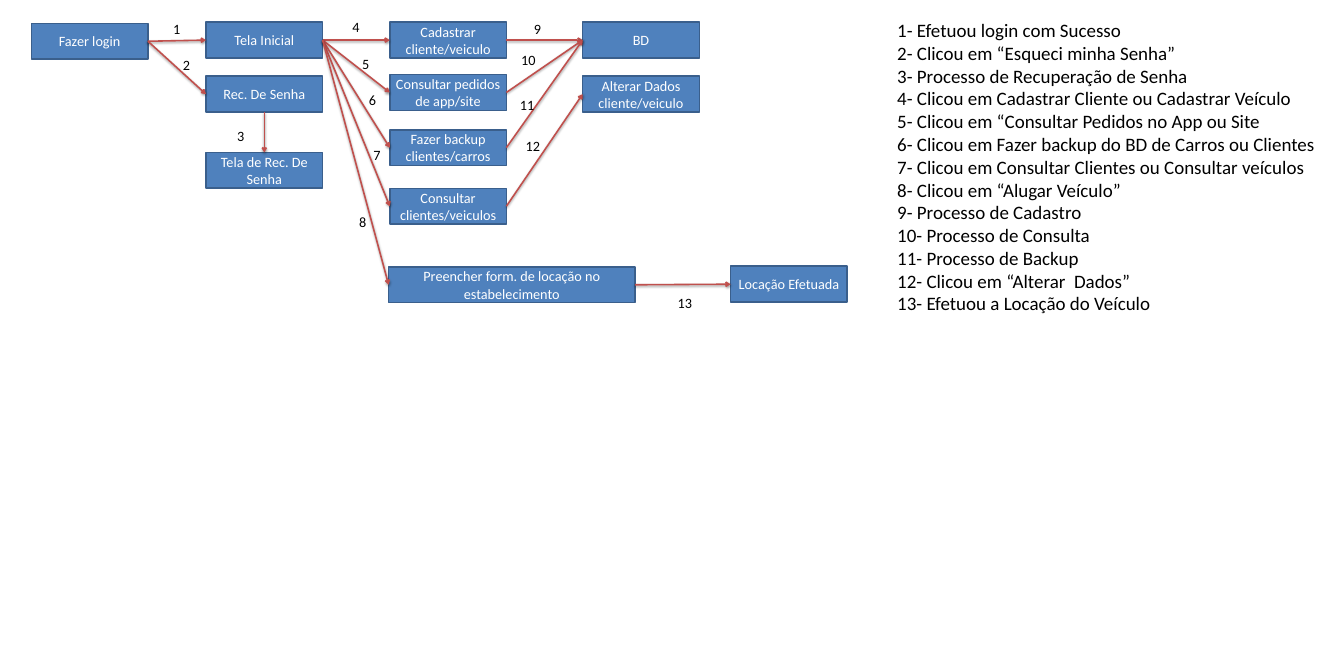
from lxml.etree import SubElement
from pptx import Presentation
from pptx.dml.color import RGBColor
from pptx.enum.shapes import MSO_CONNECTOR as CONNECTOR, MSO_SHAPE as SHAPE
from pptx.enum.text import MSO_ANCHOR as ANCHOR, MSO_AUTO_SIZE as AUTO_SIZE, PP_ALIGN as ALIGN
from pptx.oxml.ns import qn
from pptx.util import Emu, Inches, Pt

SLIDE_W, SLIDE_H = 23.62, 11.81
FILL, BORDER, ARROW = "4F81BD", "3A5F8C", "C0504D"
WHITE, BLACK = "FFFFFF", "000000"
STEP_W, STEP_H, LABEL_H = 2.05, 0.63, 0.4
TOP, LEFT, BOTTOM, RIGHT = range(4)  # connection sites of a rectangle

# Left edges of the columns and top edges of the rows, inside the diagram
LOGIN, HOME, TASKS, DATA, RENTAL = 0, 3.07, 6.3, 9.69, 12.29
ROW_1, ROW_2, ROW_3, ROW_4, ROW_5 = 0, 0.95, 1.89, 2.92, 4.3

# Key: text, left, top, width
STEPS = {
    "login": ("Fazer login", LOGIN, ROW_1 + 0.02, STEP_W),
    "home": ("Tela Inicial", HOME, ROW_1, STEP_W),
    "recover": ("Rec. De Senha", HOME, ROW_2, STEP_W),
    "recovery_screen": ("Tela de Rec. De Senha", HOME, 2.29, STEP_W),
    "register": ("Cadastrar cliente/veiculo", TASKS, ROW_1, STEP_W),
    "orders": ("Consultar pedidos de app/site", TASKS, ROW_2 - 0.03, STEP_W),
    "backup": ("Fazer backup clientes/carros", TASKS, ROW_3, STEP_W),
    "search": ("Consultar clientes/veiculos", TASKS, ROW_4, STEP_W),
    "form": ("Preencher form. de locação no estabelecimento",
             TASKS - 0.02, ROW_5, 4.33),
    "database": ("BD", DATA, ROW_1, STEP_W),
    "edit": ("Alterar Dados cliente/veiculo", DATA, ROW_2, STEP_W),
    "rented": ("Locação Efetuada", RENTAL, ROW_5 - 0.01, STEP_W),
}

# Numbered in order: from, to, label offset from the arrow's middle, meaning
FLOWS = [
    ("login", "home", (0, -0.2), "Efetuou login com Sucesso"),
    ("login", "recover", (0.17, -0.05), "Clicou em “Esqueci minha Senha”"),
    ("recover", "recovery_screen", (-0.41, 0.07), "Processo de Recuperação de Senha"),
    ("home", "register", (0, -0.23), "Clicou em Cadastrar Cliente ou Cadastrar Veículo"),
    ("home", "orders", (0.17, -0.05), "Clicou em “Consultar Pedidos no App ou Site"),
    ("home", "backup", (0.29, 0.1), "Clicou em Fazer backup do BD de Carros ou Clientes"),
    ("home", "search", (0.37, 0.56), "Clicou em Consultar Clientes ou Consultar veículos"),
    ("home", "form", (0.13, 1.05), "Clicou em “Alugar Veículo”"),
    ("register", "database", (-0.12, -0.19), "Processo de Cadastro"),
    ("orders", "database", (-0.28, -0.11), "Processo de Consulta"),
    ("backup", "database", (-0.3, 0.19), "Processo de Backup"),
    ("search", "edit", (-0.2, -0.08), "Clicou em “Alterar  Dados”"),
    ("form", "rented", (0.04, 0.32), "Efetuou a Locação do Veículo"),
]


def color(hex_string):
    return RGBColor.from_string(hex_string)


def write(frame, lines, size=18, ink=BLACK, align=ALIGN.LEFT, anchor=ANCHOR.TOP, wrap=True):
    frame.word_wrap = wrap
    frame.vertical_anchor = anchor
    for index, line in enumerate(lines):
        paragraph = frame.paragraphs[0] if index == 0 else frame.add_paragraph()
        paragraph.alignment = align
        run = paragraph.add_run()
        run.text = line
        run.font.name = "Calibri"
        run.font.size = Pt(size)
        run.font.color.rgb = color(ink)


def add_step(slide, text, left, top, width):
    step = slide.shapes.add_shape(SHAPE.RECTANGLE, *map(Inches, (left, top, width, STEP_H)))
    step.shadow.inherit = False
    step.fill.solid()
    step.fill.fore_color.rgb = color(FILL)
    step.line.color.rgb = color(BORDER)
    step.line.width = Pt(2)
    write(step.text_frame, [text], ink=WHITE, align=ALIGN.CENTER, anchor=ANCHOR.MIDDLE)
    return step


def add_arrow(slide, source, target):
    downward = source.left == target.left
    arrow = slide.shapes.add_connector(CONNECTOR.STRAIGHT, 0, 0, 0, 0)
    arrow.begin_connect(source, BOTTOM if downward else RIGHT)
    arrow.end_connect(target, TOP if downward else LEFT)
    arrow.line.color.rgb = color(ARROW)
    arrow.line.width = Pt(2)
    properties = arrow.element.spPr
    SubElement(properties.find(qn("a:ln")), qn("a:tailEnd"), type="arrow")
    # Soft shadow straight below the line
    effects = SubElement(properties, qn("a:effectLst"))
    shadow = SubElement(effects, qn("a:outerShdw"), blurRad=str(Pt(3.1)),
                        dist=str(Pt(1.6)), dir="5400000", rotWithShape="0")
    shade = SubElement(shadow, qn("a:srgbClr"), val=BLACK)
    SubElement(shade, qn("a:alpha"), val="38000")
    return arrow


def add_label(slide, number, arrow, offset):
    width = 0.33 if number < 10 else 0.46
    middle_x = Emu((arrow.begin_x + arrow.end_x) // 2).inches
    middle_y = Emu((arrow.begin_y + arrow.end_y) // 2).inches
    left = middle_x + offset[0] - width / 2
    top = middle_y + offset[1] - LABEL_H / 2
    label = slide.shapes.add_textbox(*map(Inches, (left, top, width, LABEL_H)))
    write(label.text_frame, [str(number)], wrap=False)


def add_diagram(slide, left, top):
    steps = {key: add_step(slide, text, left + x, top + y, width)
             for key, (text, x, y, width) in STEPS.items()}
    arrows = [add_arrow(slide, steps[source], steps[target])
              for source, target, _, _ in FLOWS]
    for number, (arrow, flow) in enumerate(zip(arrows, FLOWS), 1):
        add_label(slide, number, arrow, flow[2])


def add_legend(slide, left, top, width, height):
    legend = slide.shapes.add_textbox(*map(Inches, (left, top, width, height)))
    write(legend.text_frame, [f"{number}- {flow[3]}" for number, flow in enumerate(FLOWS, 1)],
          size=24)
    legend.text_frame.auto_size = AUTO_SIZE.SHAPE_TO_FIT_TEXT


def main():
    deck = Presentation()
    deck.slide_width, deck.slide_height = Inches(SLIDE_W), Inches(SLIDE_H)
    slide = deck.slides.add_slide(deck.slide_layouts[6])
    add_diagram(slide, 0.55, 0.39)
    add_legend(slide, 15.67, 0.28, 7.64, 5.35)
    deck.save("out.pptx")


if __name__ == "__main__":
    main()
